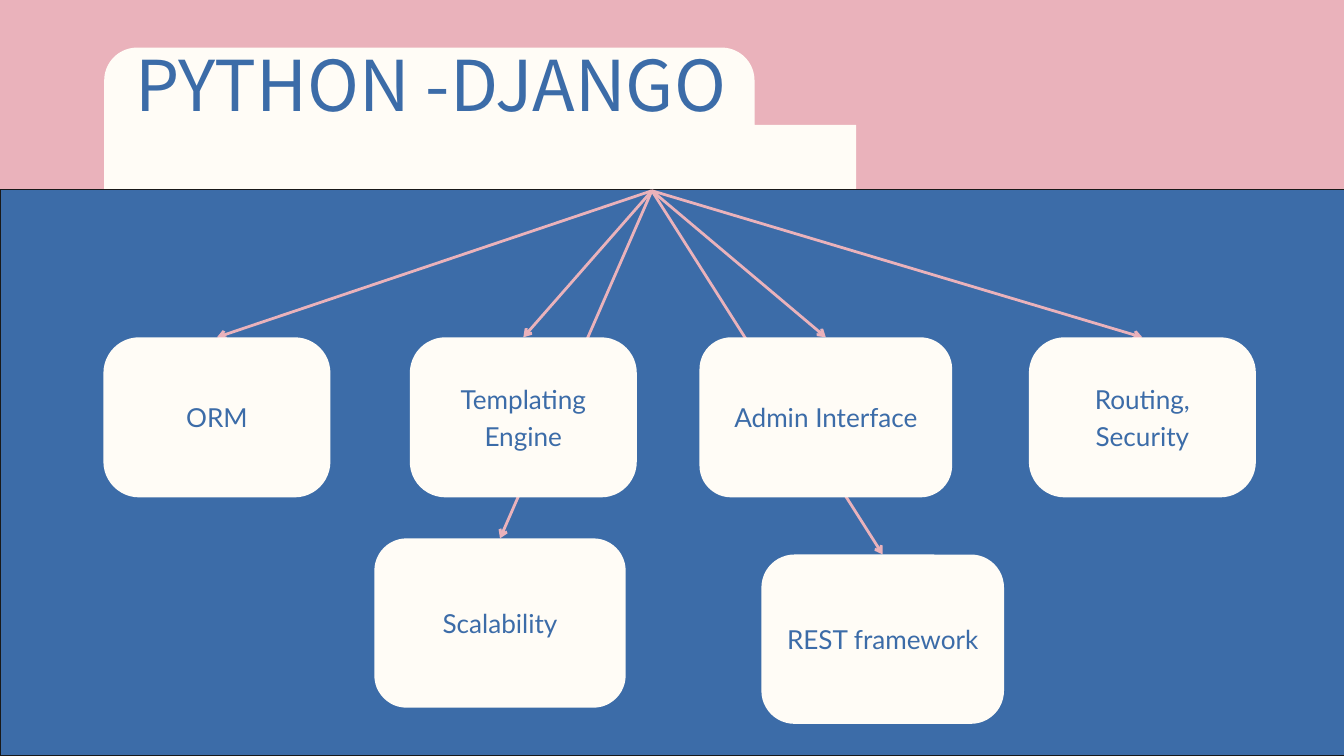
from math import cos, sin, radians

from lxml.etree import SubElement
from pptx import Presentation
from pptx.dml.color import RGBColor
from pptx.enum.shapes import MSO_CONNECTOR as CONN, MSO_SHAPE as SHAPE
from pptx.enum.text import MSO_ANCHOR as ANCHOR, PP_ALIGN as ALIGN
from pptx.oxml.ns import qn
from pptx.util import Cm, Pt

# Content: lengths in cm
PINK, CREAM, BLUE, BLACK = "EAB2BB", "FFFCF6", "3C6CA8", "191919"
TITLE = "PYTHON -DJANGO"
HUB = (24.64, 7.21)
ROW_TOP, ROW_HEIGHT = 12.75, 6.05
CARDS = [  # text, left, top, width, height, corner radius
    ("ORM", 3.91, ROW_TOP, 8.58, ROW_HEIGHT, 1.35),
    ("Templating Engine", 15.49, ROW_TOP, 8.58, ROW_HEIGHT, 1.35),
    ("Admin Interface", 26.44, ROW_TOP, 9.55, ROW_HEIGHT, 1.2),
    ("Routing,\nSecurity", 38.89, ROW_TOP, 8.58, ROW_HEIGHT, 1.35),
    ("Scalability", 14.15, 20.35, 9.5, 6.4, 1.22),
    ("REST framework", 28.78, 20.96, 9.17, 6.4, 1.25),
]


def color(hex_code):
    return RGBColor.from_string(hex_code)


def paint(sp, fill, line=None):
    sp.shadow.inherit = False
    sp.fill.solid()
    sp.fill.fore_color.rgb = color(fill)
    if line:
        sp.line.color.rgb = color(line)
        sp.line.width = Pt(1.5)
    else:
        sp.line.fill.background()


def write(tf, text, font, size, spacing, align):
    tf.word_wrap = True
    tf.margin_left = tf.margin_right = tf.margin_top = tf.margin_bottom = 0
    tf.text = text
    for p in tf.paragraphs:
        p.alignment = align
        p.line_spacing = Pt(spacing)
        for r in p.runs:
            r.font.name = font
            r.font.size = Pt(size)
            r.font.color.rgb = color(BLUE)


def corner(cx, cy, radius, start):
    """Points of a clockwise quarter circle."""
    angles = [radians(start + 5 * i) for i in range(19)]
    return [(cx + radius * cos(a), cy + radius * sin(a)) for a in angles]


def add_folder(s, left, top, tab_right, step, right, bottom, radius):
    pts = [(left, bottom)]
    pts += corner(left + radius, top + radius, radius, 180)
    pts += corner(tab_right - radius, top + radius, radius, 270)
    pts += [(tab_right, step), (right, step), (right, bottom)]
    pts = [(Cm(x), Cm(y)) for x, y in pts]
    fb = s.shapes.build_freeform(*pts[0])
    fb.add_line_segments(pts[1:], close=True)
    paint(fb.convert_to_shape(), CREAM)


def add_arrow(s, start, end):
    cn = s.shapes.add_connector(CONN.STRAIGHT, *map(Cm, start + end))
    cn.line.color.rgb = color(PINK)
    cn.line.width = Pt(3)
    SubElement(cn.line._get_or_add_ln(), qn("a:tailEnd"), type="arrow")
    SubElement(cn._element.spPr, qn("a:effectLst"))


def add_card(s, text, left, top, width, height, radius):
    sp = s.shapes.add_shape(SHAPE.ROUNDED_RECTANGLE, *map(Cm, (left, top, width, height)))
    sp.adjustments[0] = radius / min(width, height)
    paint(sp, CREAM)
    tf = sp.text_frame
    write(tf, text, "Lato", 28, 39.2, ALIGN.CENTER)
    tf.vertical_anchor = ANCHOR.MIDDLE
    tf.margin_left = tf.margin_right = Cm(0.4)
    tf.margin_bottom = Cm(0.18)


def main():
    prs = Presentation()
    prs.slide_width, prs.slide_height = Cm(50.8), Cm(28.575)
    s = prs.slides.add_slide(prs.slide_layouts[6])
    s.background.fill.solid()
    s.background.fill.fore_color.rgb = color(PINK)

    # Folder tab behind the blue panel
    add_folder(s, left=3.94, top=1.8, tab_right=28.52, step=4.72,
               right=32.36, bottom=20.24, radius=1.24)
    panel = s.shapes.add_shape(SHAPE.RECTANGLE, *map(Cm, (0, 7.16, 52.88, 21.42)))
    paint(panel, BLUE, BLACK)

    # Title
    box = s.shapes.add_textbox(*map(Cm, (5.11, 2.08, 22.35, 5.38)))
    write(box.text_frame, TITLE, "Noto Sans CJK KR", 75, 75, ALIGN.LEFT)

    # Arrows from the hub to each card's top centre, then the cards over them
    for _, left, top, width, _, _ in CARDS:
        add_arrow(s, HUB, (left + width / 2, top))
    for card in CARDS:
        add_card(s, *card)

    prs.save("out.pptx")


if __name__ == "__main__":
    main()
